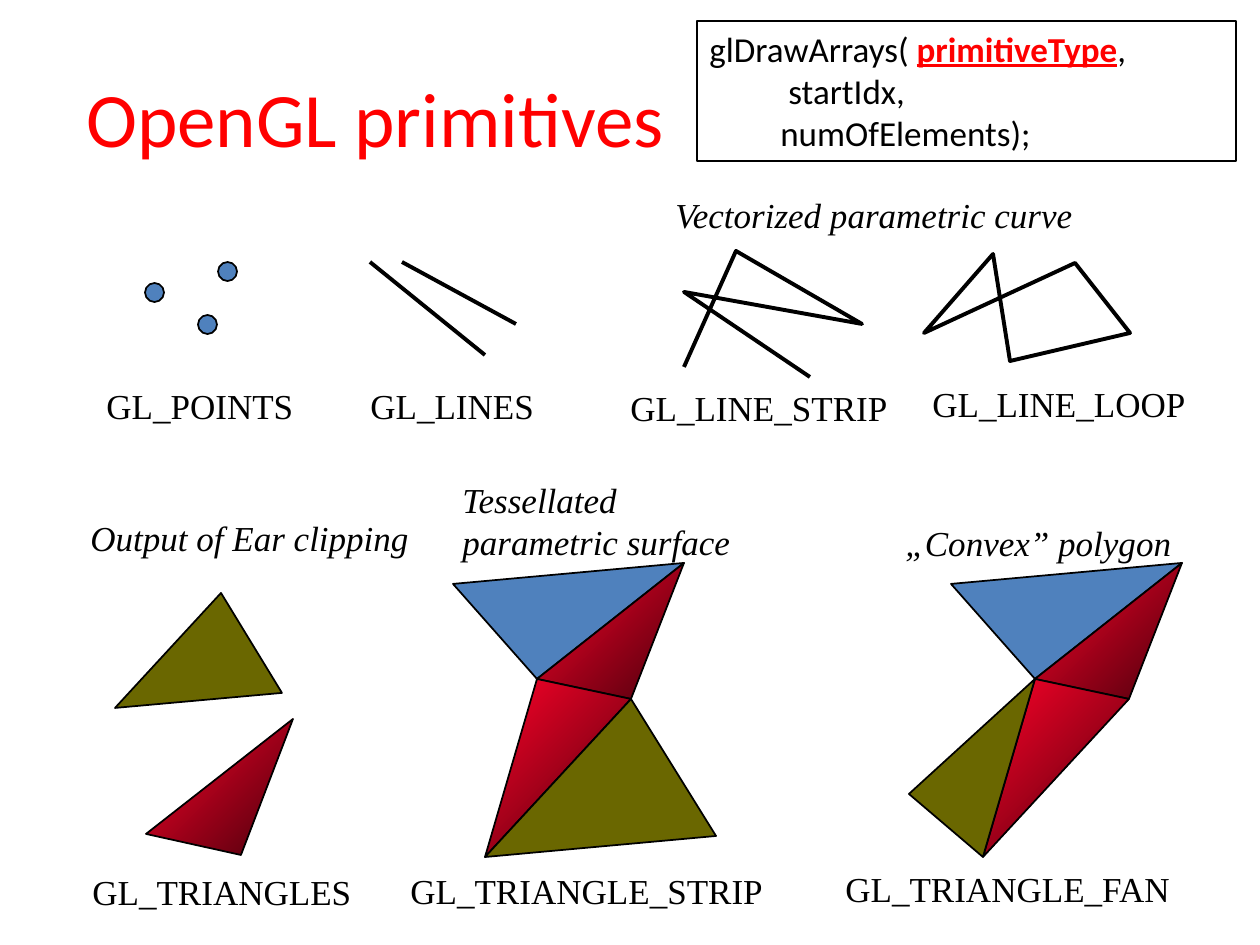
from dataclasses import dataclass

from lxml import etree
from pptx import Presentation
from pptx.dml.color import RGBColor
from pptx.enum.shapes import MSO_CONNECTOR, MSO_SHAPE
from pptx.enum.text import MSO_ANCHOR, PP_ALIGN
from pptx.oxml.ns import qn
from pptx.util import Emu, Pt

RECTANGLE, OVAL = MSO_SHAPE.RECTANGLE, MSO_SHAPE.OVAL
STRAIGHT = MSO_CONNECTOR.STRAIGHT
CENTER, LEFT = PP_ALIGN.CENTER, PP_ALIGN.LEFT
MIDDLE, TOP = MSO_ANCHOR.MIDDLE, MSO_ANCHOR.TOP
PX = 914400 / 126  # EMU in one px
Point = tuple[int, int]


@dataclass(frozen=True)
class Theme:
    black: str = "000000"
    red: str = "FF0000"
    blue: str = "4F81BD"
    olive: str = "6A6700"
    crimson: tuple[str, str] = ("FC0128", "4B000C")
    sans: str = "Calibri"
    serif: str = "Times New Roman"
    title_size: int = 44
    text_size: int = 20
    thin: float = 1
    thick: float = 2.25


@dataclass(frozen=True)
class Label:
    left: int
    top: int
    width: int
    lines: tuple[str, ...]
    italic: bool = False


@dataclass(frozen=True)
class Triangle:
    corners: tuple[Point, Point, Point]
    fill: str | tuple[str, str]


THEME = Theme()
DOT_SIZE = 19
DOTS = [(145, 283), (218, 262), (198, 315)]
LINES = [((370, 262), (485, 355)), ((402, 262), (516, 324))]
LINE_STRIP = [(684, 367), (736, 251), (862, 324), (684, 292), (810, 377)]
LINE_LOOP = [(993, 254), (924, 333), (1075, 263), (1130, 333), (1010, 361)]

# The strip and the fan share their first three triangles
PIVOT, LEFT_TIP, RIGHT_TIP = (537, 679), (453, 584), (684, 563)
RIGHT_WAIST, FOOT = (631, 699), (485, 857)
SHARED = [
    Triangle((PIVOT, LEFT_TIP, RIGHT_TIP), THEME.blue),
    Triangle((PIVOT, RIGHT_WAIST, RIGHT_TIP), THEME.crimson),
    Triangle((PIVOT, RIGHT_WAIST, FOOT), THEME.crimson),
]
STRIP = SHARED + [Triangle(((716, 836), RIGHT_WAIST, FOOT), THEME.olive)]
FAN = SHARED + [Triangle(((411, 794), PIVOT, FOOT), THEME.olive)]
FAN_SHIFT = 498
SEPARATE = [
    Triangle(((282, 693), (221, 593), (115, 708)), THEME.olive),
    Triangle(((146, 834), (241, 855), (293, 719)), THEME.crimson),
]

LABELS = [
    Label(94, 378, 214, ("GL_POINTS",)),
    Label(358, 378, 190, ("GL_LINES",)),
    Label(618, 380, 285, ("GL_LINE_STRIP",)),
    Label(920, 376, 281, ("GL_LINE_LOOP",)),
    Label(398, 863, 382, ("GL_TRIANGLE_STRIP",)),
    Label(80, 864, 287, ("GL_TRIANGLES",)),
    Label(833, 861, 353, ("GL_TRIANGLE_FAN",)),
    Label(663, 187, 426, ("Vectorized parametric curve",), True),
    Label(450, 472, 295, ("Tessellated", "parametric surface"), True),
    Label(893, 515, 294, ("„Convex” polygon",), True),
    Label(78, 510, 347, ("Output of Ear clipping",), True),
]


def box(*lengths: int) -> list[Emu]:
    return [Emu(round(length * PX)) for length in lengths]


def set_line(shape, width: float) -> None:
    shape.line.color.rgb = RGBColor.from_string(THEME.black)
    shape.line.width = Pt(width)


def set_fill(shape, fill: str | tuple[str, str] | None) -> None:
    if fill is None:
        shape.fill.background()
    elif isinstance(fill, str):
        shape.fill.solid()
        shape.fill.fore_color.rgb = RGBColor.from_string(fill)
    else:
        shape.fill.gradient()
        shape.fill.gradient_angle = 315
        for stop, color in zip(shape.fill.gradient_stops, fill):
            stop.color.rgb = RGBColor.from_string(color)


def set_frame(shape, wrap: bool, anchor=TOP) -> None:
    formats = {"word_wrap": wrap, "vertical_anchor": anchor}
    for name, value in formats.items():
        setattr(shape.text_frame, name, value)


def add_run(paragraph, text: str, font_name: str, color: str = THEME.black,
            size: int = THEME.text_size, **formats: bool) -> None:
    run = paragraph.add_run()
    run.text = text
    run.font.color.rgb = RGBColor.from_string(color)
    for name, value in {"name": font_name, "size": Pt(size), **formats}.items():
        setattr(run.font, name, value)


def add_preset(slide, kind, bounds: list[Emu], fill: str | None):
    shape = slide.shapes.add_shape(kind, *bounds)
    shape.shadow.inherit = False
    set_fill(shape, fill)
    set_line(shape, THEME.thin)
    return shape


def add_outline(slide, points, fill, width: float, close: bool) -> None:
    builder = slide.shapes.build_freeform(*points[0], scale=PX)
    builder.add_line_segments(points[1:], close=close)
    shape = builder.convert_to_shape()
    shape.shadow.inherit = False
    set_fill(shape, fill)
    set_line(shape, width)
    etree.SubElement(shape.line._get_or_add_ln(), qn("a:round"))


def add_triangles(slide, triangles: list[Triangle], shift: int = 0) -> None:
    for triangle in triangles:
        corners = [(x + shift, y) for x, y in triangle.corners]
        add_outline(slide, corners, triangle.fill, THEME.thin, True)


def add_segment(slide, start: Point, end: Point) -> None:
    connector = slide.shapes.add_connector(STRAIGHT, *box(*start, *end))
    set_line(connector, THEME.thick)
    etree.SubElement(connector._element.spPr, qn("a:effectLst"))


def add_label(slide, label: Label) -> None:
    height = 12 + 42 * len(label.lines)
    shape = slide.shapes.add_textbox(*box(label.left, label.top, label.width, height))
    set_frame(shape, False)
    frame = shape.text_frame
    for index, line in enumerate(label.lines):
        paragraph = frame.add_paragraph() if index else frame.paragraphs[0]
        add_run(paragraph, line, THEME.serif, italic=label.italic)


def add_title(slide) -> None:
    shape = slide.shapes.add_textbox(*box(63, 38, 625, 158))
    set_frame(shape, True, MIDDLE)
    paragraph = shape.text_frame.paragraphs[0]
    paragraph.alignment = CENTER
    add_run(paragraph, "OpenGL primitives", THEME.sans, THEME.red, THEME.title_size)


def add_call_box(slide) -> None:
    shape = add_preset(slide, RECTANGLE, box(697, 21, 539, 140), None)
    set_frame(shape, True)
    frame = shape.text_frame
    first = frame.paragraphs[0]
    first.alignment = LEFT
    add_run(first, "glDrawArrays( ", THEME.sans)
    add_run(first, "primitiveType", THEME.sans, THEME.red, bold=True, underline=True)
    add_run(first, ",", THEME.sans)
    for text, indent in (("startIdx,", 79), ("numOfElements);", 71)):
        paragraph = frame.add_paragraph()
        paragraph.alignment = LEFT
        paragraph._p.get_or_add_pPr().set("marL", str(round(indent * PX)))
        add_run(paragraph, text, THEME.sans)


def main() -> None:
    presentation = Presentation()
    presentation.slide_width, presentation.slide_height = box(1260, 945)
    slide = presentation.slides.add_slide(presentation.slide_layouts[6])
    # Heading and function call
    add_title(slide)
    add_call_box(slide)
    # Points and lines
    for left, top in DOTS:
        add_preset(slide, OVAL, box(left, top, DOT_SIZE, DOT_SIZE), THEME.blue)
    for start, end in LINES:
        add_segment(slide, start, end)
    add_outline(slide, LINE_STRIP, None, THEME.thick, False)
    add_outline(slide, LINE_LOOP, None, THEME.thick, True)
    # Triangles
    add_triangles(slide, STRIP)
    add_triangles(slide, SEPARATE)
    add_triangles(slide, FAN, FAN_SHIFT)
    # Primitive names and remarks
    for label in LABELS:
        add_label(slide, label)
    presentation.save("out.pptx")


if __name__ == "__main__":
    main()
